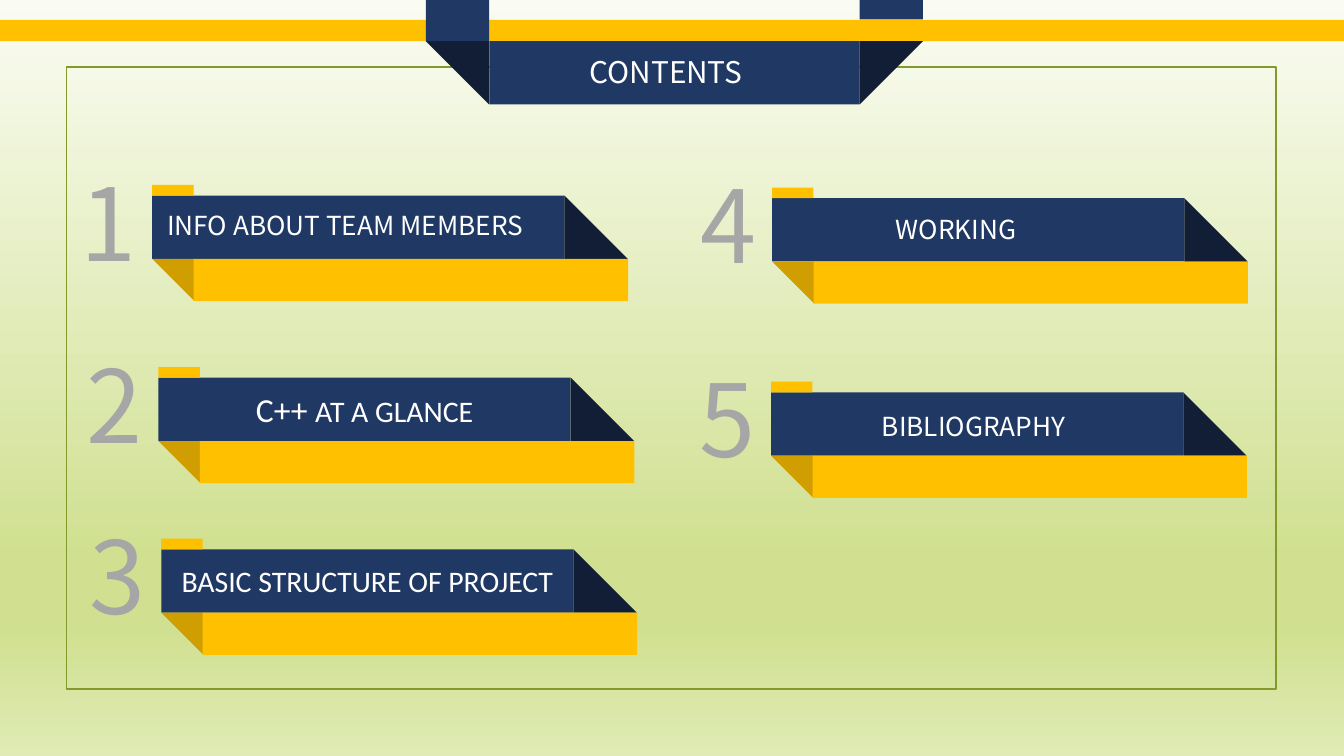
"""Build a contents slide with five numbered ribbon banners."""
from dataclasses import dataclass
from typing import Optional

from pptx import Presentation
from pptx import oxml
from pptx.dml.color import RGBColor
from pptx.enum import shapes, text
from pptx.oxml.ns import nsdecls
from pptx.util import Pt

COLORS = {
    "navy": "203864", "shade": "111E35", "gold": "FFC000", "amber": "D09E00",
    "frame": "83992A", "number": "A6A6A6", "white": "FFFFFF",
}
BACKDROP = ((0, "FAFCF3"), (74, "D0E090"), (83, "D0E090"), (100, "E0EBB5"))
CJK, LATIN = "Noto Sans CJK SC", "Calibri"
RECT, TRIANGLE = shapes.MSO_SHAPE.RECTANGLE, shapes.MSO_SHAPE.RIGHT_TRIANGLE
FOLD, CORNER, TAB_WIDTH, TAB_HEIGHT = 45.2, 30.2, 29.6, 7.6
BAND_WIDTH, LEDGE_WIDTH = 294.5, 310.3


@dataclass(frozen=True)
class Box:
    """Position and size in points."""
    left: float
    top: float
    width: float
    height: float


@dataclass(frozen=True)
class Part:
    """One filled piece of a ribbon."""
    box: Box
    color: str
    kind: shapes.MSO_SHAPE = RECT
    flips: tuple[str, ...] = ()
    rotation: float = 0


@dataclass(frozen=True)
class Entry:
    """A contents entry; without a label box its wording is centred in the band."""
    left: float
    top: float
    wording: str
    label: Optional[Box] = None
    lead: str = ""


ENTRIES = (
    Entry(108.7, 139.7, "INFO ABOUT TEAM MEMBERS", Box(112.3, 146.2, 288.7, 30.2)),
    Entry(113.2, 269.8, "AT A GLANCE", lead="C++ "),
    Entry(115.2, 392.4, "BASIC STRUCTURE OF PROJECT"),
    Entry(551.5, 141.6, "WORKING", Box(632.9, 149, 128.2, 30.2)),
    Entry(550.8, 280.3, "BIBLIOGRAPHY", Box(622.8, 289.4, 166.3, 30.2)),
)
HEADER = (
    Part(Box(0, 14.2, 960, 15.2), "gold"),
    Part(Box(349.5, 29.4, 264.6, FOLD), "navy"),
    Part(Box(614.1, 29.4, FOLD, FOLD), "shade", TRIANGLE, ("flipV",)),
    Part(Box(614.1, 0, FOLD, 13.9), "navy"),
    Part(Box(304.2, 29.4, FOLD, FOLD), "shade", TRIANGLE, ("flipH", "flipV")),
    Part(Box(304.2, 0, FOLD, 29.4), "navy"),
)


def rgb(name: str) -> RGBColor:
    """Look up a palette colour."""
    return RGBColor.from_string(COLORS[name])


def place(shape, box: Box) -> None:
    """Move and size a shape."""
    shape.left, shape.top = Pt(box.left), Pt(box.top)
    shape.width, shape.height = Pt(box.width), Pt(box.height)


def add_part(slide, part: Part):
    """Draw a ribbon piece."""
    box = part.box
    piece = slide.shapes.add_shape(
        part.kind, Pt(box.left), Pt(box.top), Pt(box.width), Pt(box.height))
    piece.shadow.inherit = False
    piece.fill.solid()
    piece.fill.fore_color.rgb = rgb(part.color)
    piece.line.fill.background()
    piece.rotation = part.rotation
    for flip in part.flips:
        piece.element.spPr.xfrm.set(flip, "1")
    return piece


def write(shape, wording: str, size: float, color: str = "white", font: str = CJK,
          centred: bool = False, lead: str = "") -> None:
    """Fill a shape with one formatted line, with an optional larger lead."""
    frame = shape.text_frame
    frame.auto_size = text.MSO_AUTO_SIZE.NONE
    frame.word_wrap = centred
    frame.vertical_anchor = text.MSO_ANCHOR.MIDDLE if centred else text.MSO_ANCHOR.TOP
    line = frame.paragraphs[0]
    line.alignment = text.PP_ALIGN.CENTER if centred else text.PP_ALIGN.LEFT
    line.font.name, line.font.size = font, Pt(size)
    line.font.color.rgb = rgb(color)
    if lead:
        opening = line.add_run()
        opening.text = lead
        opening.font.size = Pt(24)
    line.add_run().text = wording


def add_label(slide, box: Box, wording: str, size: float, color: str = "white") -> None:
    """Add a free-standing line of text."""
    label = slide.shapes.add_textbox(0, 0, 0, 0)
    place(label, box)
    write(label, wording, size, color)


def add_entry(slide, number: int, entry: Entry) -> None:
    """Draw a numbered ribbon banner."""
    x, y = entry.left, entry.top
    base = y + FOLD
    band = add_part(slide, Part(Box(x, y, BAND_WIDTH, FOLD), "navy"))
    for part in (
        Part(Box(x + BAND_WIDTH, y, FOLD, FOLD), "shade", TRIANGLE),
        Part(Box(x, base, CORNER, CORNER), "amber", TRIANGLE, ("flipV",), 90),
        Part(Box(x + TAB_WIDTH, base, LEDGE_WIDTH, CORNER), "gold"),
        Part(Box(x, y - TAB_HEIGHT, TAB_WIDTH, TAB_HEIGHT), "gold"),
    ):
        add_part(slide, part)
    if entry.label:
        add_label(slide, entry.label, entry.wording, 18.7)
    else:
        write(band, entry.wording, 21.3, font=LATIN, centred=True, lead=entry.lead)
    add_label(slide, Box(x - 58.3, y - 28.8, 56.9, 94.3), str(number), 72, "number")


def paint_backdrop(slide) -> None:
    """Give the slide its vertical gradient."""
    stops = "".join(f'<a:gs pos="{at * 1000}"><a:srgbClr val="{color}"/></a:gs>'
                    for at, color in BACKDROP)
    slide.element.cSld.insert(0, oxml.parse_xml(
        f'<p:bg {nsdecls("p", "a")}><p:bgPr><a:gradFill rotWithShape="1">'
        f'<a:gsLst>{stops}</a:gsLst><a:lin ang="5400000" scaled="0"/></a:gradFill>'
        '<a:effectLst/></p:bgPr></p:bg>'))


def add_frame(slide) -> None:
    """Outline the content area."""
    frame = add_part(slide, Part(Box(47.5, 48, 864, 444), "white"))
    frame.fill.background()
    frame.line.color.rgb = rgb("frame")
    frame.line.width = Pt(1.25)


def add_header(slide) -> None:
    """Draw the top ribbon and bring the title in front of it."""
    for part in HEADER:
        add_part(slide, part)
    title = slide.shapes.title
    place(title, Box(414, 34.6, 130.3, 33.1))
    write(title, "CONTENTS", 21.3)
    title.element.getparent().append(title.element)


def main() -> None:
    """Assemble and save the slide."""
    deck = Presentation()
    deck.slide_width, deck.slide_height = Pt(960), Pt(540)
    slide = deck.slides.add_slide(deck.slide_layouts.get_by_name("Title Only"))
    paint_backdrop(slide)
    add_frame(slide)
    add_header(slide)
    for number, entry in enumerate(ENTRIES, 1):
        add_entry(slide, number, entry)
    deck.save("out.pptx")


if __name__ == "__main__":
    main()
